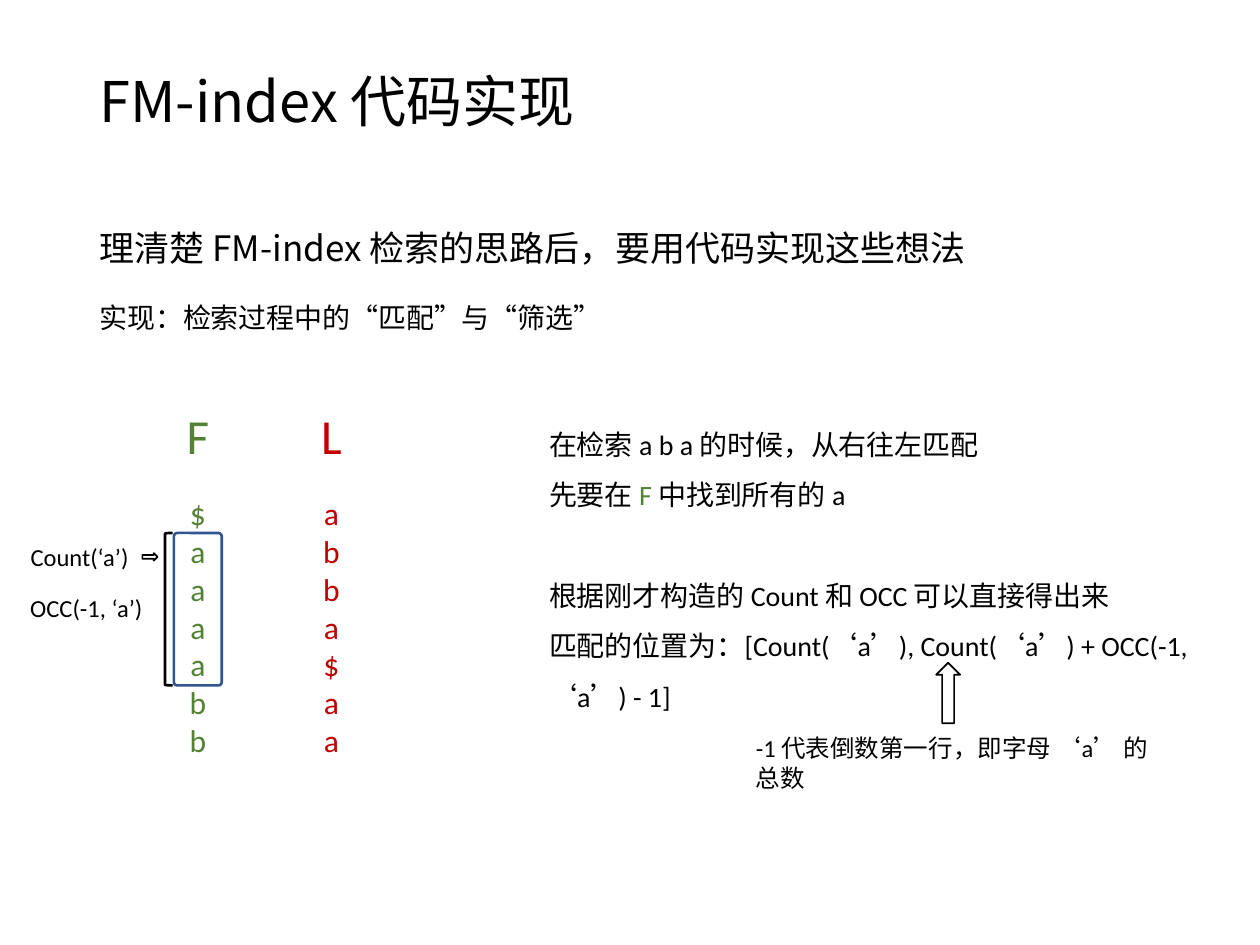
from dataclasses import dataclass

from lxml import etree
from pptx import Presentation
from pptx import util as u
from pptx.dml.color import RGBColor
from pptx.enum import shapes, text
from pptx.oxml.ns import qn


@dataclass(frozen=True)
class Theme:
    latin: str = "Calibri"
    cjk: str = "Noto Sans CJK SC"
    black: str = "000000"
    white: str = "FFFFFF"
    green: str = "548235"
    red: str = "C00000"
    blue: str = "325491"
    title: int = 32
    heading: int = 28
    lead: int = 20
    letter: int = 18
    body: int = 16
    note: int = 14


T = Theme()
ALIGN = text.PP_ALIGN
SHAPE = shapes.MSO_SHAPE


def set_all(obj, values):
    for name, value in values.items():
        setattr(obj, name, value)


def add_run(p, content, size, color=T.black, font=T.latin):
    r = p.add_run()
    r.text = content
    set_all(r.font, {"size": u.Pt(size), "name": font})
    r.font.color.rgb = RGBColor.from_string(color)
    # East Asian characters take their own typeface
    etree.SubElement(r.font._element, qn("a:ea"), typeface=T.cjk)


def add_text(slide, box, paragraphs, wrap=True, anchor=text.MSO_ANCHOR.TOP):
    """Each paragraph is a list of run arguments and a dict of formats."""
    tf = slide.shapes.add_textbox(*map(u.Inches, box)).text_frame
    set_all(tf, {"word_wrap": wrap, "vertical_anchor": anchor})
    for i, (runs, fmt) in enumerate(paragraphs):
        p = tf.add_paragraph() if i else tf.paragraphs[0]
        set_all(p, fmt)
        for run in runs:
            add_run(p, *run)


def add_column(slide, left, heading, letters, color):
    centred = {"alignment": ALIGN.CENTER}
    paragraphs = [([(heading, T.heading, color)], centred)]
    for i, letter in enumerate(letters):
        gap = {"space_before": u.Pt(0 if i else 17)}
        paragraphs.append(([(letter, T.letter, color)], centred | gap))
    add_text(slide, (left, 3.17, 0.38, 2.93), paragraphs, wrap=False)


def add_outline(slide, kind, box, color, width, fill=None):
    sp = slide.shapes.add_shape(kind, *map(u.Inches, box))
    sp.shadow.inherit = False
    if fill:
        sp.fill.solid()
        sp.fill.fore_color.rgb = RGBColor.from_string(fill)
    else:
        sp.fill.background()
    sp.line.color.rgb = RGBColor.from_string(color)
    sp.line.width = u.Pt(width)
    return sp


def main():
    prs = Presentation()
    set_all(prs, {"slide_width": u.Inches(10), "slide_height": u.Inches(7.5)})
    s = prs.slides.add_slide(prs.slide_layouts[6])

    # Title and introduction
    add_text(s, (0.69, 0.4, 8.62, 0.85),
             [([("FM-index 代码实现", T.title, T.black, T.cjk)], {"line_spacing": 0.9})],
             anchor=text.MSO_ANCHOR.MIDDLE)
    add_text(s, (0.69, 1.58, 8.62, 1.34),
             [([("理清楚 FM-index 检索的思路后，要用代码实现这些想法", T.lead, T.black, T.cjk)],
               {"line_spacing": 1.5, "space_before": u.Pt(10)})])
    add_text(s, (0.69, 2.34, 8.62, 0.37),
             [([("实现：检索过程中的“匹配”与“筛选”", T.body)], {})])

    # First and last columns, with the matched rows marked
    box = add_outline(s, SHAPE.ROUNDED_RECTANGLE, (1.38, 4.23, 0.38, 1.21), T.blue, 1.5)
    box.adjustments[0] = 0.07
    add_column(s, 1.38, "F", "$aaaabb", T.green)
    add_column(s, 2.44, "L", "abba$aa", T.red)
    add_outline(s, SHAPE.LEFT_BRACKET, (1.31, 4.23, 0.06, 1.21), T.black, 1.5)

    # Labels of the matched range
    for top, width, label in ((4.25, 0.99, "Count(‘a’)"), (4.66, 1.1, "OCC(-1, ‘a’)")):
        add_text(s, (0.13, top, width, 0.34),
                 [([(label, T.note)], {"alignment": ALIGN.RIGHT})], wrap=False)
    add_outline(s, SHAPE.RIGHT_ARROW, (1.13, 4.39, 0.12, 0.06), T.black, 1, T.white)

    # Explanation
    spaced = {"line_spacing": 1.5}
    add_text(s, (4.26, 3.21, 5.34, 2.08), [
        ([("在检索 a b a 的时候，从右往左匹配", T.body)], spaced),
        ([("先要在 ", T.body), ("F ", T.body, T.green), ("中找到所有的 a", T.body)], spaced),
        ([("根据刚才构造的 Count 和 OCC 可以直接得出来", T.body)],
         spaced | {"space_before": u.Pt(28.8)}),
        ([("匹配的位置为：[Count(‘a’), Count(‘a’) + OCC(-1, ‘a’) - 1]", T.body)], spaced),
    ])

    # Note on the -1 argument
    add_outline(s, SHAPE.UP_ARROW, (7.43, 5.26, 0.19, 0.48), T.black, 1, T.white)
    add_text(s, (5.9, 5.77, 3.43, 0.34),
             [([("-1 代表倒数第一行，即字母 ‘a’ 的总数", T.note)], {})])

    prs.save("out.pptx")


if __name__ == "__main__":
    main()
